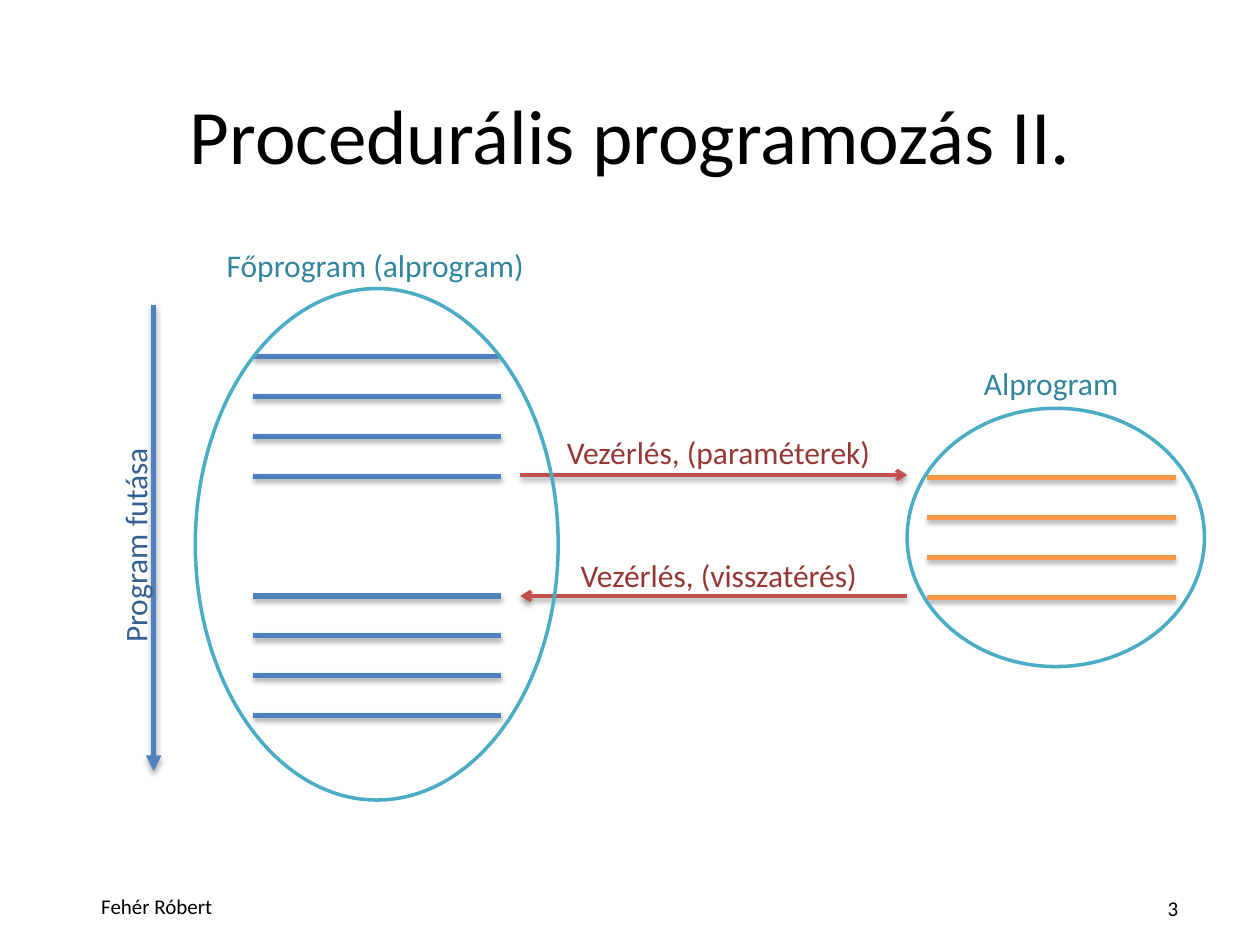
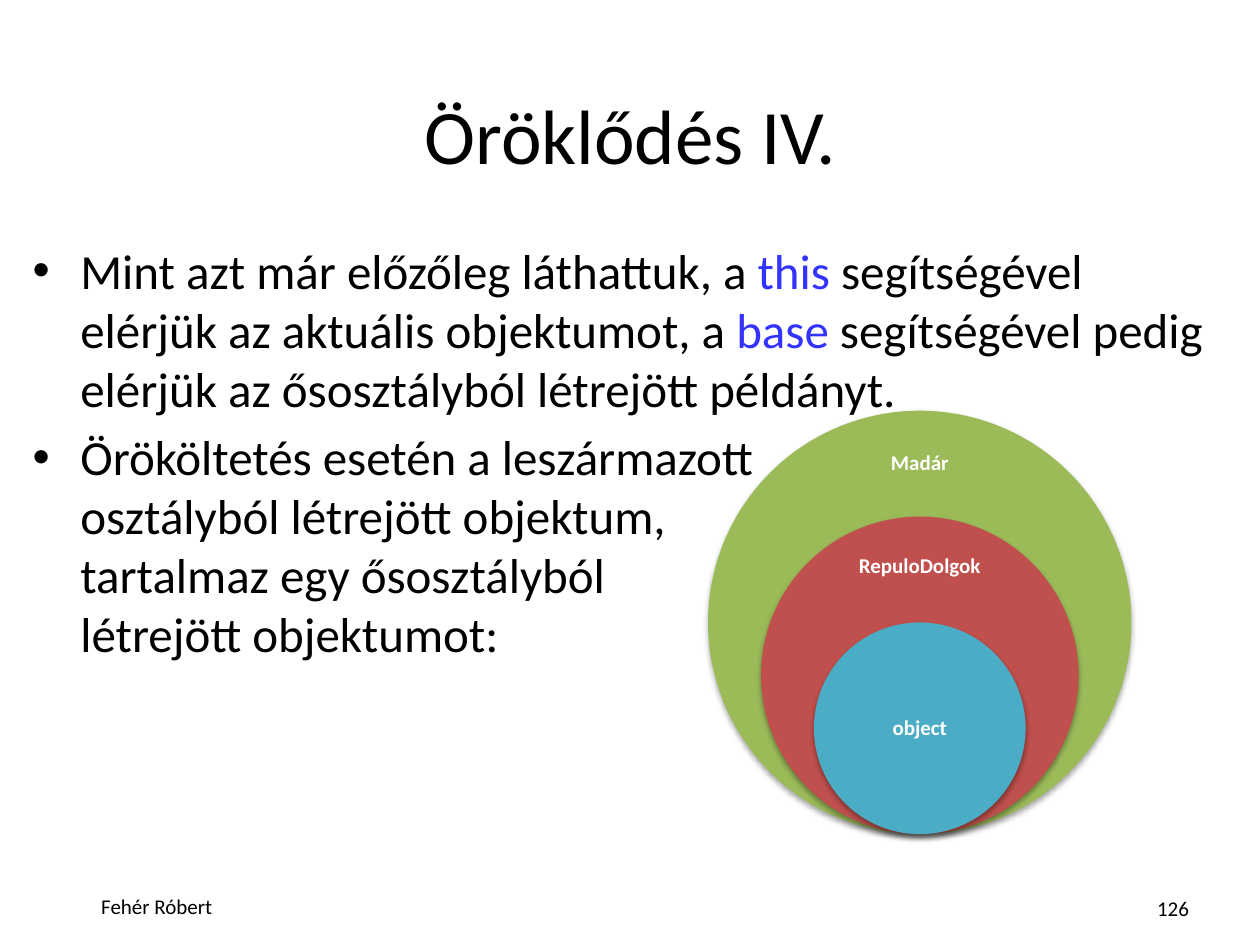
"""Build two lecture slides on procedural programming and inheritance."""
from lxml import etree
from pptx import Presentation
from pptx.dml.color import RGBColor
from pptx.enum.shapes import MSO_CONNECTOR, MSO_SHAPE
from pptx.enum.text import MSO_ANCHOR, PP_ALIGN
from pptx.oxml.ns import qn
from pptx.util import Inches, Pt

FONT = "Calibri"
BLACK = RGBColor(0x00, 0x00, 0x00)
WHITE = RGBColor(0xFF, 0xFF, 0xFF)
BLUE = RGBColor(0x4F, 0x81, 0xBD)
DARK_BLUE = RGBColor(0x37, 0x60, 0x92)
RED = RGBColor(0xC0, 0x50, 0x4D)
DARK_RED = RGBColor(0x95, 0x37, 0x35)
TEAL = RGBColor(0x4B, 0xAC, 0xC6)
DARK_TEAL = RGBColor(0x31, 0x85, 0x9C)
ORANGE = RGBColor(0xF7, 0x96, 0x46)
GREEN = RGBColor(0x9B, 0xBB, 0x59)
KEYWORD = RGBColor(0x33, 0x33, 0xFF)


class Deck:
    def __init__(self):
        self.prs = Presentation()
        self.prs.slide_width, self.prs.slide_height = Inches(10), Inches(7.5)
        self.s = None

    def slide(self, title, number):
        self.s = self.prs.slides.add_slide(self.prs.slide_layouts[5])
        sp = self.s.shapes.title
        sp.left, sp.top, sp.width, sp.height = map(Inches, (0.16, 0.52, 9.69, 1.08))
        tf = sp.text_frame
        tf.text = title
        tf.vertical_anchor = MSO_ANCHOR.MIDDLE
        tf.paragraphs[0].alignment = PP_ALIGN.CENTER
        self.style(tf.paragraphs[0].runs[0], 44, BLACK)
        self.label("Fehér Róbert", 0.16, 7.04, 2.17, 0.31, 12, BLACK, PP_ALIGN.CENTER)
        self.label(number, 8.78, 7.06, 1.06, 0.3, 12, BLACK, PP_ALIGN.CENTER)

    def style(self, r, size, color, bold=False):
        r.font.name, r.font.size, r.font.bold = FONT, Pt(size), bold
        r.font.color.rgb = color

    def shadow(self, sp, alpha=35):
        sp_pr = sp._element.spPr
        effects = sp_pr.find(qn("a:effectLst"))
        if effects is None:
            effects = etree.SubElement(sp_pr, qn("a:effectLst"))
        outer = etree.SubElement(effects, qn("a:outerShdw"), blurRad=str(Pt(3.1)),
                                 dist=str(Pt(1.8)), dir="5400000", rotWithShape="0")
        black = etree.SubElement(outer, qn("a:srgbClr"), val="000000")
        etree.SubElement(black, qn("a:alpha"), val=str(alpha * 1000))

    def label(self, text, left, top, width, height=0.4, size=18, color=BLACK,
              align=PP_ALIGN.LEFT, bold=False):
        sp = self.s.shapes.add_textbox(*map(Inches, (left, top, width, height)))
        tf = sp.text_frame
        tf.text = text
        tf.word_wrap = False
        tf.vertical_anchor = MSO_ANCHOR.MIDDLE
        p = tf.paragraphs[0]
        p.alignment = align
        self.style(p.runs[0], size, color, bold)
        return sp

    def line(self, x1, y1, x2, y2, color, width=3, head=None, alpha=35):
        c = self.s.shapes.add_connector(MSO_CONNECTOR.STRAIGHT,
                                        *map(Inches, (x1, y1, x2, y2)))
        c.line.color.rgb, c.line.width = color, Pt(width)
        if head:
            etree.SubElement(c.line._get_or_add_ln(), qn("a:tailEnd"), type=head)
        self.shadow(c, alpha)

    def code_lines(self, left, top, color):
        for i in range(4):
            y = top + 0.95 * i / 3
            self.line(left, y, left + 1.97, y, color)

    def ellipse(self, left, top, width, height, fill=None, outline=None):
        sp = self.s.shapes.add_shape(MSO_SHAPE.OVAL,
                                     *map(Inches, (left, top, width, height)))
        sp.shadow.inherit = False
        if fill is None:
            sp.fill.background()
        else:
            sp.fill.solid()
            sp.fill.fore_color.rgb = fill
        if outline is None:
            sp.line.fill.background()
            self.shadow(sp)
        else:
            sp.line.color.rgb, sp.line.width = outline, Pt(2)

    def bullets(self, items, left, top, width, height, size):
        sp = self.s.shapes.add_textbox(*map(Inches, (left, top, width, height)))
        tf = sp.text_frame
        tf.word_wrap = True
        for i, parts in enumerate(items):
            p = tf.add_paragraph() if i else tf.paragraphs[0]
            p.space_before = Pt(size * 0.2)
            p_pr = p._p.get_or_add_pPr()
            p_pr.set("marL", str(Inches(0.38)))
            p_pr.set("indent", str(Inches(-0.38)))
            etree.SubElement(p_pr, qn("a:buFont"), typeface="Arial")
            etree.SubElement(p_pr, qn("a:buChar"), char="•")
            for text, color in parts:
                for j, row in enumerate(text.split("\n")):
                    if j:
                        p.add_line_break()
                    r = p.add_run()
                    r.text = row
                    self.style(r, size, color)


def procedural_slide(deck):
    deck.slide("Procedurális programozás II.", "3")
    deck.code_lines(2.01, 2.83, BLUE)
    deck.code_lines(2.01, 4.73, BLUE)
    deck.code_lines(7.36, 3.79, ORANGE)
    deck.line(4.13, 3.77, 7.2, 3.77, RED, 2, "arrow", 38)
    deck.line(7.2, 4.73, 4.13, 4.73, RED, 2, "arrow", 38)
    deck.ellipse(7.2, 3.24, 2.36, 2.05, outline=TEAL)
    deck.ellipse(1.55, 2.29, 2.88, 4.06, outline=TEAL)
    deck.line(1.22, 2.42, 1.22, 6.12, BLUE, head="triangle")
    deck.label("Program futása", 0.19, 4.12, 1.76, color=DARK_BLUE).rotation = 270
    deck.label("Vezérlés, (paraméterek)", 4.4, 3.39, 2.64, color=DARK_RED)
    deck.label("Vezérlés, (visszatérés)", 4.51, 4.36, 2.42, color=DARK_RED)
    deck.label("Alprogram", 7.71, 2.84, 1.28, color=DARK_TEAL)
    deck.label("Főprogram (alprogram)", 1.7, 1.9, 2.59, color=DARK_TEAL)


def inheritance_slide(deck):
    deck.slide("Öröklődés IV.", "126")
    deck.bullets([
        [("Mint azt már előzőleg láthattuk, a ", BLACK), ("this", KEYWORD),
         (" segítségével elérjük az aktuális objektumot, a ", BLACK), ("base", KEYWORD),
         (" segítségével pedig elérjük az ősosztályból létrejött példányt.", BLACK)],
        [("Örököltetés esetén a leszármazott\nosztályból létrejött objektum,\n"
          "tartalmaz egy ősosztályból\nlétrejött objektumot:", BLACK)],
    ], 0.16, 1.86, 9.69, 4.92, 28)
    center, bottom = 7.3, 6.62
    for name, size, color, top, height in (("Madár", 3.36, GREEN, 3.42, 0.5),
                                           ("RepuloDolgok", 2.52, RED, 4.25, 0.47),
                                           ("object", 1.68, TEAL, 5.35, 0.84)):
        deck.ellipse(center - size / 2, bottom - size, size, size, fill=color)
        deck.label(name, center - 0.59, top, 1.18, height, 12, WHITE,
                   PP_ALIGN.CENTER, True)


def main():
    deck = Deck()
    procedural_slide(deck)
    inheritance_slide(deck)
    deck.prs.save("out.pptx")


if __name__ == "__main__":
    main()
